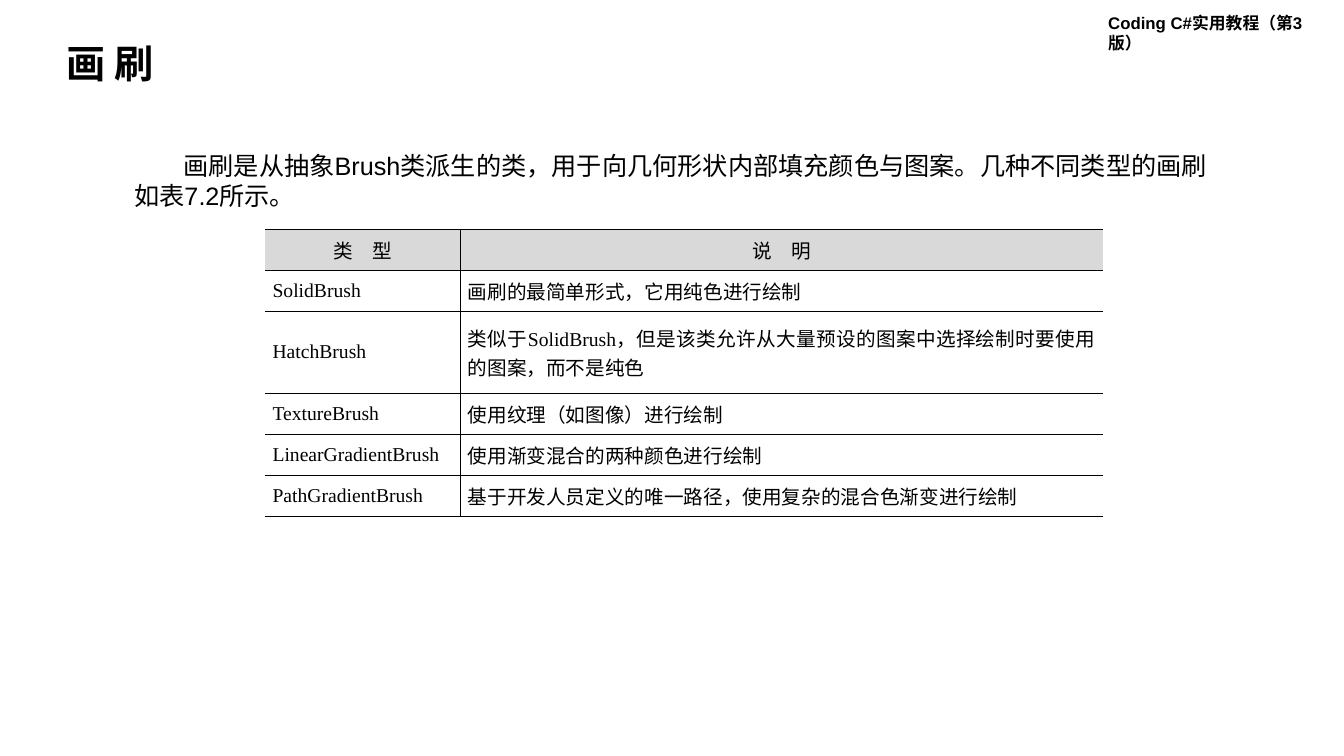
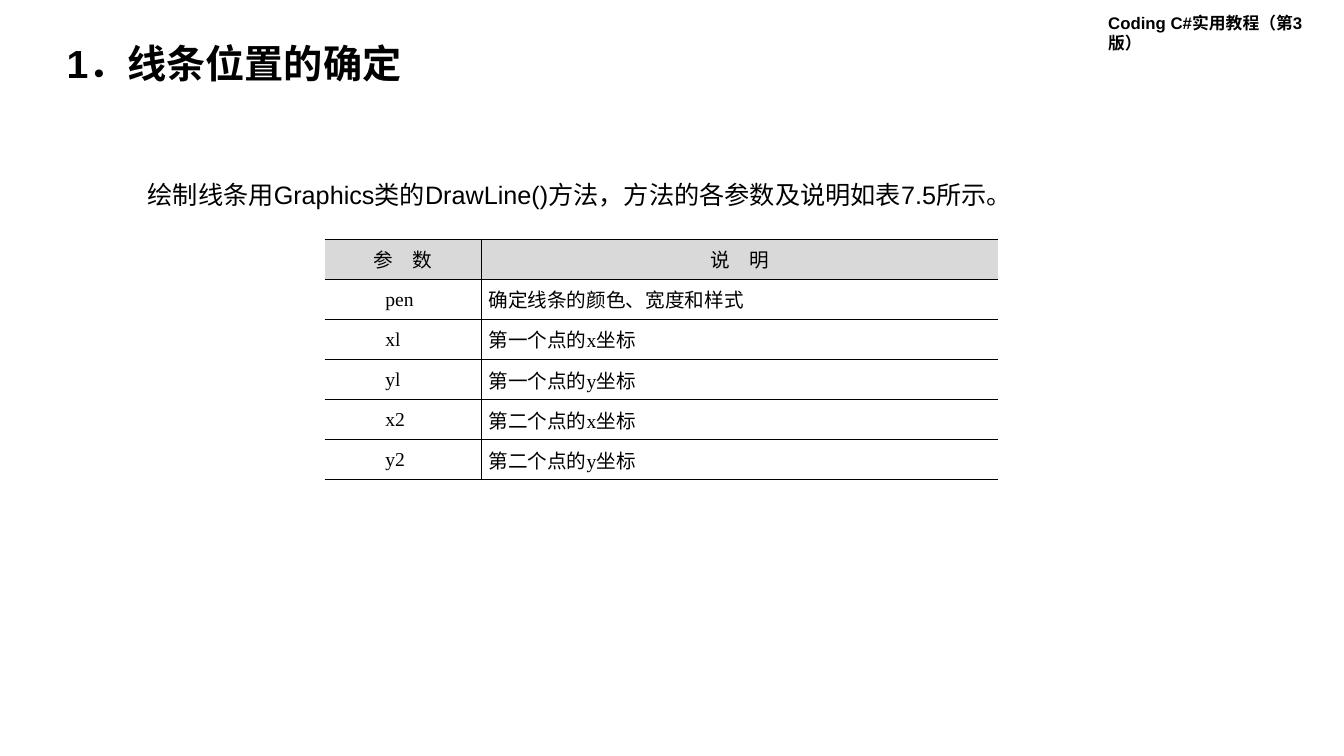
import pptx
import pptx.util
import pptx.dml.color
import pptx.enum.text
import pptx.oxml
import pptx.oxml.ns
import lxml.etree

Pt = pptx.util.Pt
RGB = pptx.dml.color.RGBColor.from_string
ALIGN = pptx.enum.text.PP_ALIGN
ANCHOR = pptx.enum.text.MSO_ANCHOR
qn = pptx.oxml.ns.qn

# Content
BOOK = "Coding C#实用教程（第3版）"
PAGES = [
    {
        "title": "画 刷",
        "wide": 390,
        "intro": "画刷是从抽象Brush类派生的类，用于向几何形状内部填充颜色与图案。"
                 "几种不同类型的画刷如表7.2所示。",
        "box": (88.7, 103.5, 782, 51),
        "indent": 35.3,
        "at": (189.5, 163.7),
        "cols": (139.5, 459),
        "row": 29.3,
        "inset": 0,
        "rows": [
            ("类　型", "说　明"),
            ("SolidBrush", "画刷的最简单形式，它用纯色进行绘制"),
            ("HatchBrush", "类似于SolidBrush，但是该类允许从大量预设的图案中"
                           "选择绘制时要使用的图案，而不是纯色"),
            ("TextureBrush", "使用纹理（如图像）进行绘制"),
            ("LinearGradientBrush", "使用渐变混合的两种颜色进行绘制"),
            ("PathGradientBrush", "基于开发人员定义的唯一路径，使用复杂的混合色渐变进行绘制"),
        ],
        "tall": {2},
    },
    {
        "title": "1．线条位置的确定",
        "wide": 435,
        "intro": "绘制线条用Graphics类的DrawLine()方法，方法的各参数及说明如表7.5所示。",
        "box": (98.5, 124.5, 748, 29),
        "indent": 0,
        "at": (232, 171),
        "cols": (111.7, 369.3),
        "row": 28.6,
        "inset": 38,
        "rows": [
            ("参　数", "说　明"),
            ("pen", "确定线条的颜色、宽度和样式"),
            ("xl", "第一个点的x坐标"),
            ("yl", "第一个点的y坐标"),
            ("x2", "第二个点的x坐标"),
            ("y2", "第二个点的y坐标"),
        ],
        "tall": set(),
    },
]


class Theme:
    ink, head = "000000", "D9D9D9"
    sans, serif = "Arial", "Times New Roman"
    title, body, cell, book = 28, 18, 14, 12
    rule, pad = 1, 5.2


def style(para, size, face, bold=False, indent=0, east=None):
    """Format one paragraph, with an optional first-line indent."""
    if indent:
        props = para._p.get_or_add_pPr()
        props.set("marL", "0")
        props.set("indent", str(Pt(indent)))
    font = para.font
    font.size, font.name, font.bold = Pt(size), face, bold
    font.color.rgb = RGB(Theme.ink)
    if east:
        for run in para.runs:
            mark = lxml.etree.SubElement(run._r.get_or_add_rPr(), qn("a:ea"))
            mark.set("typeface", east)


def write(slide, text, box, size, **look):
    """Add a wrapped sans-serif text box."""
    shape = slide.shapes.add_textbox(*map(Pt, box))
    shape.text_frame.word_wrap = True
    para = shape.text_frame.paragraphs[0]
    para.text = text
    style(para, size, Theme.sans, east=Theme.sans, **look)
    return shape


def border(cell, shown):
    """Rule the named sides of a cell and clear the others."""
    props = cell._tc.get_or_add_tcPr()
    for spot, side in enumerate("LRTB"):
        line = pptx.oxml.parse_xml(
            f'<a:ln{side} {pptx.oxml.ns.nsdecls("a")} w="{Pt(Theme.rule)}">'
            + (f'<a:solidFill><a:srgbClr val="{Theme.ink}"/></a:solidFill>'
               if side in shown else "<a:noFill/>")
            + f"</a:ln{side}>")
        props.insert(spot, line)


def grid(slide, page):
    """Build the ruled two-column table."""
    rows, cols = page["rows"], page["cols"]
    highs = [page["row"] * (2 if i in page["tall"] else 1)
             for i in range(len(rows))]
    frame = slide.shapes.add_table(
        len(rows), len(cols), *map(Pt, (*page["at"], sum(cols), sum(highs))))
    table = frame.table
    table.first_row = table.horz_banding = False
    for col, wide in zip(table.columns, cols):
        col.width = Pt(wide)
    for r, (texts, high) in enumerate(zip(rows, highs)):
        table.rows[r].height = Pt(high)
        for c, text in enumerate(texts):
            cell = table.cell(r, c)
            cell.text = text
            cell.vertical_anchor = ANCHOR.MIDDLE
            cell.margin_left = cell.margin_right = Pt(Theme.pad)
            cell.margin_top = cell.margin_bottom = 0
            if r == 0:
                cell.fill.solid()
                cell.fill.fore_color.rgb = RGB(Theme.head)
            else:
                cell.fill.background()
            border(cell, "TBL" if c else "TBR")
            para = cell.text_frame.paragraphs[0]
            para.alignment = ALIGN.JUSTIFY if r else ALIGN.CENTER
            style(para, Theme.cell, Theme.serif,
                  indent=page["inset"] if r and not c else 0)


def build(deck, layout, page):
    slide = deck.slides.add_slide(layout)
    # Title
    title = slide.shapes.title
    title.left, title.top, title.width, title.height = map(
        Pt, (40.3, 28, page["wide"], 37.5))
    title.text_frame.text = page["title"]
    title.text_frame.vertical_anchor = ANCHOR.MIDDLE
    para = title.text_frame.paragraphs[0]
    para.alignment, para.line_spacing = ALIGN.LEFT, 0.9
    style(para, Theme.title, Theme.sans, bold=True)
    # Introduction and table
    write(slide, page["intro"], page["box"], Theme.body, indent=page["indent"])
    grid(slide, page)
    return slide


def main():
    deck = pptx.Presentation()
    deck.slide_width, deck.slide_height = Pt(960), Pt(540)
    layout = deck.slide_layouts[5]
    slides = [build(deck, layout, page) for page in PAGES]
    # Book name, shared through the layout
    book = write(slides[0], BOOK, (784.5, 5.5, 175.5, 22), Theme.book, bold=True)
    layout.shapes.element.append(book.element)
    deck.save("out.pptx")


if __name__ == "__main__":
    main()
